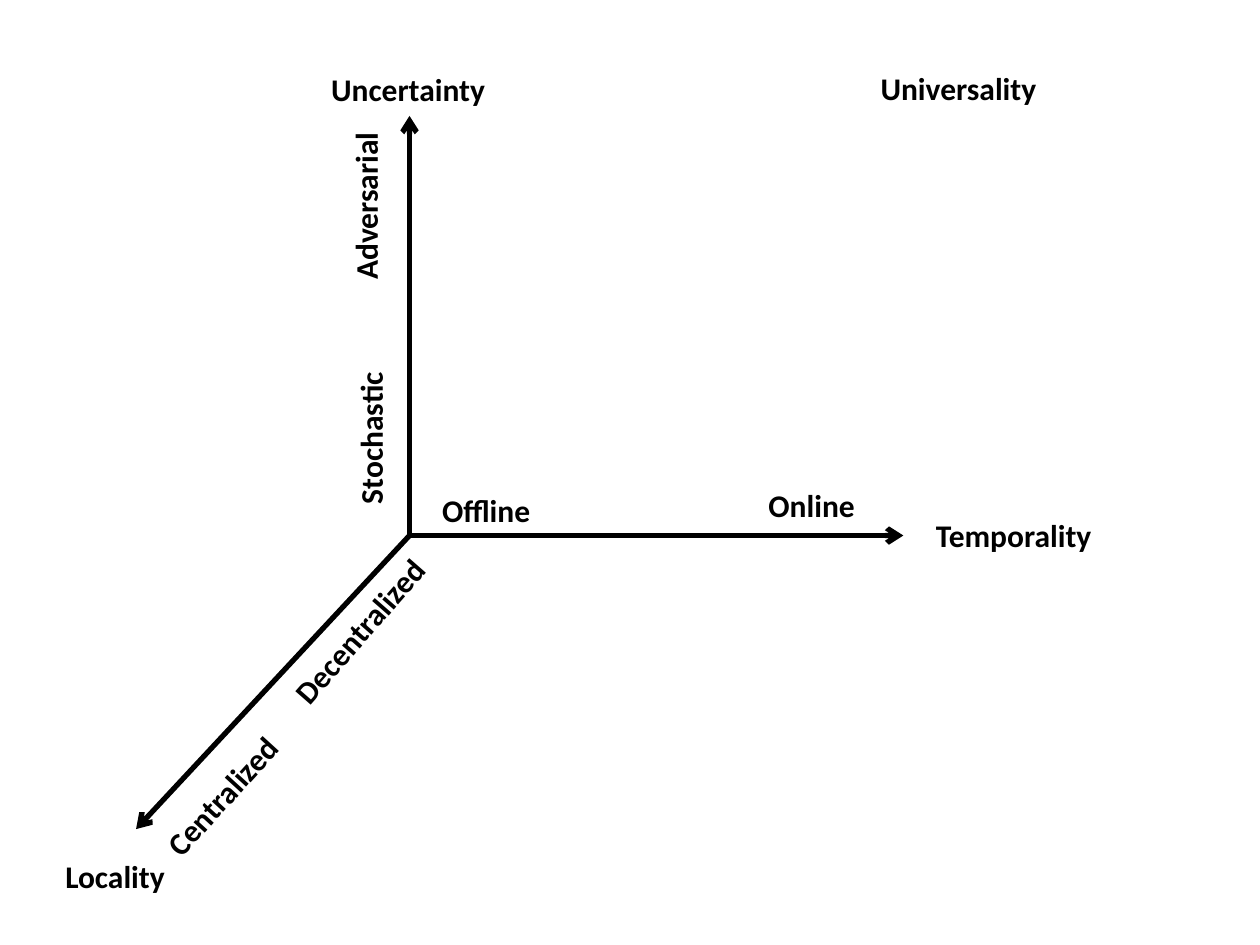
from lxml import etree
from pptx import Presentation
from pptx.dml.color import RGBColor
from pptx.enum.shapes import MSO_CONNECTOR
from pptx.enum.text import MSO_AUTO_SIZE
from pptx.oxml.ns import qn
from pptx.util import Inches, Pt

STRAIGHT = MSO_CONNECTOR.STRAIGHT
GROW = MSO_AUTO_SIZE.SHAPE_TO_FIT_TEXT
BLACK = RGBColor(0, 0, 0)
FONT = {"name": "Calibri", "size": Pt(18), "bold": True}
ORIGIN = (3.25, 4.25)
TIPS = [(3.25, 0.92), (7.17, 4.25), (1.08, 6.58)]
LABELS = [
    ("Locality", 0.42, 6.75, 1, 0),
    ("Temporality", 7.33, 4.05, 1.44, 0),
    ("Uncertainty", 2.53, 0.51, 1.43, 0),
    ("Offline", 3.41, 3.85, 0.92, 0),
    ("Online", 6, 3.81, 0.89, 0),
    ("Centralized", 1.08, 6.11, 1.37, 312.4),
    ("Decentralized", 2.04, 4.8, 1.63, 311.2),
    ("Universality", 6.89, 0.5, 1.45, 0),
]
UPRIGHT = [("Stochastic", 2.74, 2.94, 1.16), ("Adversarial", 2.7, 1.04, 1.28)]


class Chart:
    """Draw the axes and labels of a diagram on one slide."""

    def __init__(self, slide, font, color):
        self.shapes = slide.shapes
        self.font = font
        self.color = color

    def arrow(self, start, end):
        link = self.shapes.add_connector(STRAIGHT, *map(Inches, start + end))
        link.line.width = Pt(3)
        link.line.color.rgb = self.color
        props = link.element.spPr
        etree.SubElement(props.find(qn("a:ln")), qn("a:tailEnd"), type="arrow")
        etree.SubElement(props, qn("a:effectLst"))

    def label(self, text, left, top, width, height=0.4, turn=0):
        box = self.shapes.add_textbox(*map(Inches, (left, top, width, height)))
        box.rotation = turn
        frame = box.text_frame
        frame.word_wrap = False
        frame.auto_size = GROW
        run = frame.paragraphs[0].add_run()
        run.text = text
        for key, value in self.font.items():
            setattr(run.font, key, value)
        run.font.color.rgb = self.color
        return box

    def upright(self, text, left, top, height):
        box = self.label(text, left, top, 0.5, height)
        box.element.txBody.find(qn("a:bodyPr")).set("vert", "vert270")


deck = Presentation()
deck.slide_width = Inches(10)
deck.slide_height = Inches(7.5)
chart = Chart(deck.slides.add_slide(deck.slide_layouts[6]), FONT, BLACK)

for tip in TIPS:
    chart.arrow(ORIGIN, tip)
for text, left, top, width, turn in LABELS:
    chart.label(text, left, top, width, turn=turn)
for item in UPRIGHT:
    chart.upright(*item)

deck.save("out.pptx")
